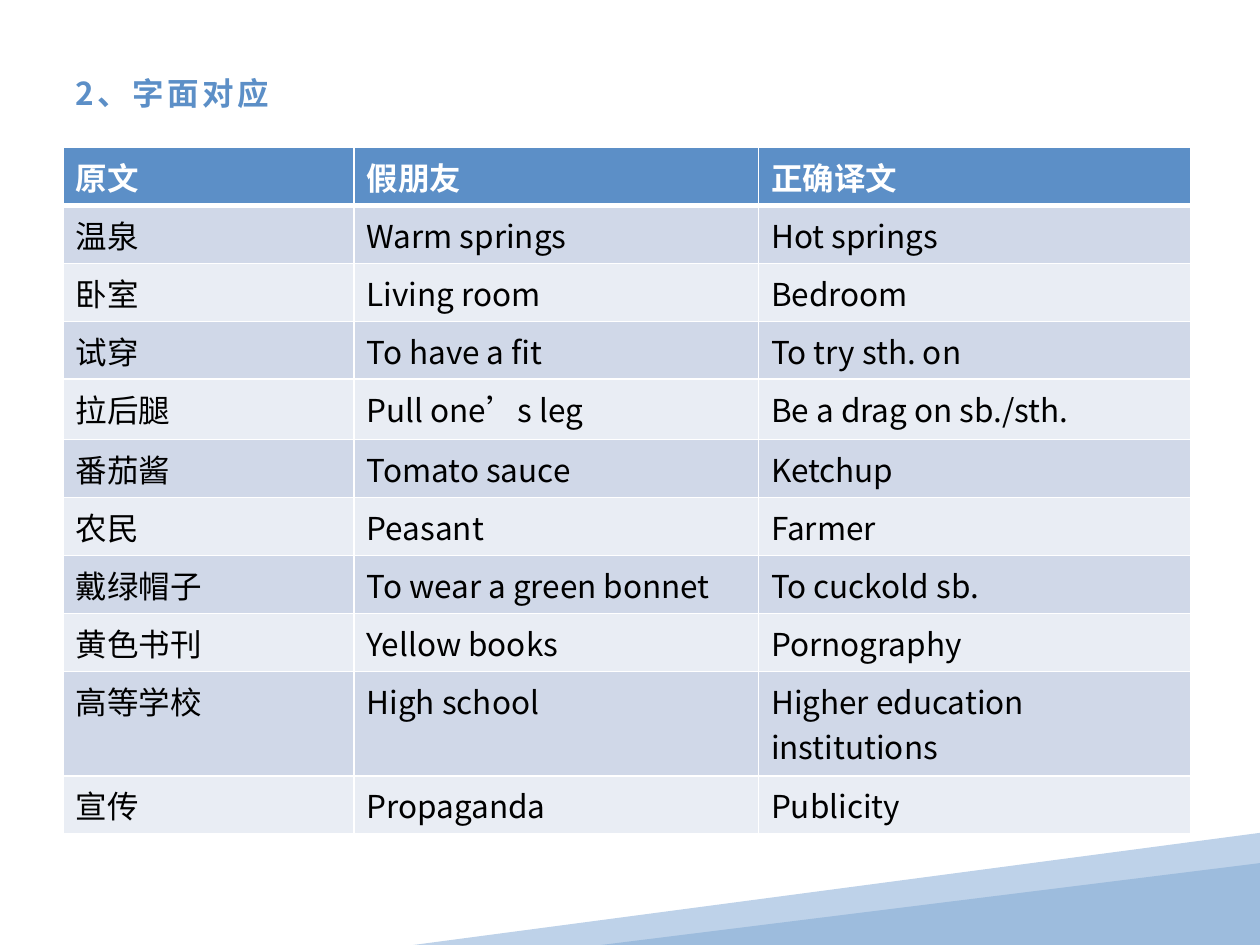
from lxml import etree
from pptx import Presentation, util as u
from pptx.dml.color import RGBColor
from pptx.enum import lang, shapes, text
from pptx.oxml import ns

FONT = "Noto Sans CJK SC"
BLUE = RGBColor(0x5C, 0x8F, 0xC7)
PALE = RGBColor(0xBE, 0xD2, 0xE9)
MID = RGBColor(0x9D, 0xBC, 0xDD)
DARK = RGBColor(0xD0, 0xD8, 0xE8)
LIGHT = RGBColor(0xE9, 0xED, 0xF4)
WHITE = RGBColor(0xFF, 0xFF, 0xFF)
BLACK = RGBColor(0, 0, 0)

ROWS = [
    ("原文", "假朋友", "正确译文"),
    ("温泉", "Warm springs", "Hot springs"),
    ("卧室", "Living room", "Bedroom"),
    ("试穿", "To have a fit", "To try sth. on"),
    ("拉后腿", "Pull one’s leg", "Be a drag on sb./sth."),
    ("番茄酱", "Tomato sauce", "Ketchup"),
    ("农民", "Peasant", "Farmer"),
    ("戴绿帽子", "To wear a green bonnet", "To cuckold sb."),
    ("黄色书刊", "Yellow books", "Pornography"),
    ("高等学校", "High school", "Higher education institutions"),
    ("宣传", "Propaganda", "Publicity"),
]
WIDTHS = (2.31, 3.21, 3.43)
HIGH = {4: 0.48, 9: 0.83}
HEIGHTS = [HIGH.get(r, 0.46) for r in range(len(ROWS))]


def write(frame, words, color=BLACK, bold=False, size=18, gap=0):
    run = frame.paragraphs[0].add_run()
    run.text = words
    font = run.font
    font.name, font.size, font.bold = FONT, u.Pt(size), bold
    font.color.rgb = color
    font.language_id = lang.MSO_LANGUAGE_ID.SIMPLIFIED_CHINESE
    props = run._r.get_or_add_rPr()
    etree.SubElement(props, ns.qn("a:ea"), typeface=FONT)
    if gap:
        props.set("spc", str(gap * 100))


def paint(shape, color):
    shape.shadow.inherit = False
    shape.fill.solid()
    shape.fill.fore_color.rgb = color
    shape.line.fill.background()


def add_wedges(slide):
    points = [(10, 6.61), (10, 7.44), (6.73, 7.5), (3.28, 7.5)]
    spots = [(u.Inches(x), u.Inches(y)) for x, y in points]
    form = slide.shapes.build_freeform(*spots[0])
    form.add_line_segments(spots[1:], close=True)
    paint(form.convert_to_shape(), PALE)
    wedge = slide.shapes.add_shape(
        shapes.MSO_SHAPE.ISOSCELES_TRIANGLE,
        u.Inches(4.77), u.Inches(6.85), u.Inches(5.23), u.Inches(0.65))
    wedge.adjustments[0] = 1
    paint(wedge, MID)


def add_title(slide, words):
    box = slide.shapes.add_textbox(
        u.Inches(0.5), u.Inches(0.3), u.Inches(9), u.Inches(0.87))
    frame = box.text_frame
    frame.word_wrap = True
    frame.vertical_anchor = text.MSO_ANCHOR.MIDDLE
    write(frame, words, color=BLUE, bold=True, gap=2)


def add_edges(cell, **widths):
    props = cell._tc.get_or_add_tcPr()
    for side in "LRTB":
        line = etree.SubElement(
            props, ns.qn("a:ln" + side), w=str(u.Pt(widths.get(side, 1))))
        fill = etree.SubElement(line, ns.qn("a:solidFill"))
        etree.SubElement(fill, ns.qn("a:srgbClr"), val=str(WHITE))


def fill_cell(cell, words, row):
    head = row == 0
    add_edges(cell, T=3 if row == 1 else 1, B=3 if head else 1)
    cell.fill.solid()
    cell.fill.fore_color.rgb = BLUE if head else DARK if row % 2 else LIGHT
    write(cell.text_frame, words, color=WHITE if head else BLACK, bold=head)


def add_grid(slide):
    grid = slide.shapes.add_table(
        len(ROWS), len(WIDTHS), u.Inches(0.5), u.Inches(1.17),
        u.Inches(sum(WIDTHS)), u.Inches(sum(HEIGHTS))).table
    for col, width in zip(grid.columns, WIDTHS):
        col.width = u.Inches(width)
    for r, row in enumerate(ROWS):
        grid.rows[r].height = u.Inches(HEIGHTS[r])
        for c, words in enumerate(row):
            fill_cell(grid.cell(r, c), words, r)


def main():
    deck = Presentation()
    deck.slide_width, deck.slide_height = u.Inches(10), u.Inches(7.5)
    slide = deck.slides.add_slide(deck.slide_layouts[6])
    add_wedges(slide)
    add_title(slide, "2、字面对应")
    add_grid(slide)
    deck.save("out.pptx")


if __name__ == "__main__":
    main()
